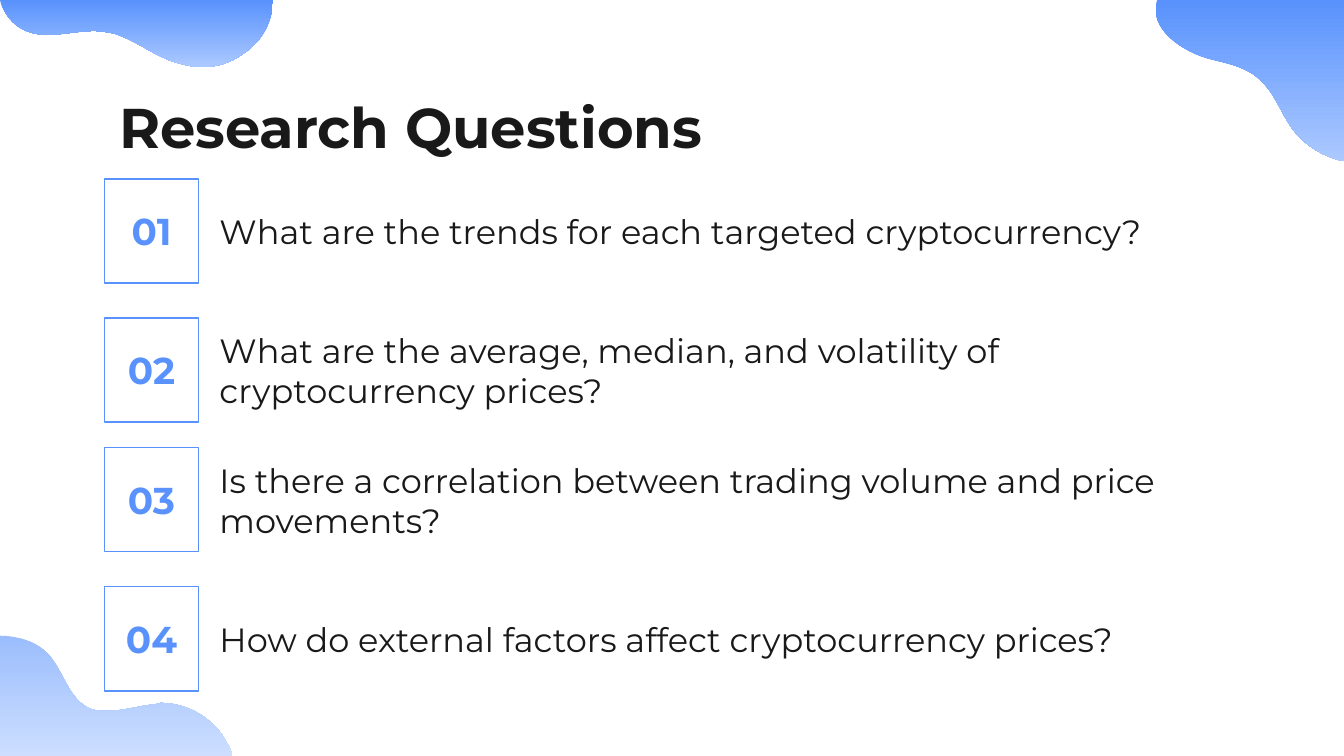
from dataclasses import dataclass

from lxml import etree
from pptx import Presentation
from pptx.dml.color import RGBColor
from pptx.enum.shapes import MSO_SHAPE
from pptx.enum.text import MSO_ANCHOR, PP_ALIGN
from pptx.oxml.ns import qn
from pptx.util import Pt

RECTANGLE = MSO_SHAPE.RECTANGLE
TOP, MIDDLE = MSO_ANCHOR.TOP, MSO_ANCHOR.MIDDLE
LEFT, CENTER = PP_ALIGN.LEFT, PP_ALIGN.CENTER


@dataclass(frozen=True)
class Theme:
    font: str = "Montserrat"
    ink: str = "191919"
    accent: str = "5992FD"
    accent_light: str = "ACC9FF"
    title_size: float = 30
    number_size: float = 20
    question_size: float = 18
    inset: float = 7.2
    outline: float = 0.75


@dataclass(frozen=True)
class Blob:
    """Box (left, top, width, height) and outline on the page.

    A segment is a point (line) or two controls and an end point (curve).
    """
    box: tuple
    start: tuple
    segments: list
    opacity: int = 100


@dataclass(frozen=True)
class Question:
    number: str
    text: str
    top: float


THEME = Theme()

BLOBS = [
    # Top left
    Blob((0, 0, 146.2, 36), (0, 0), [
        (2.9, 10.1, 10.8, 18.7, 25.2, 18.7),
        (33.8, 18.7, 42.5, 16.6, 50.4, 16.6),
        (54, 16.6, 57.6, 17.3, 61.2, 18),
        (72.7, 21.6, 82.1, 29.5, 92.9, 33.1),
        (97.9, 34.6, 103, 36, 108, 36),
        (115.9, 36, 123.8, 33.8, 130.3, 28.8),
        (140.4, 22.3, 146.2, 11.5, 146.2, 0),
    ]),
    # Bottom left
    Blob((0, 340.6, 124.6, 64.4), (0, 340.6), [
        (0, 405),
        (124.6, 405),
        (123.8, 402.5, 123.1, 400.3, 121.7, 398.2),
        (115.2, 385.2, 100.8, 376.6, 86.4, 376.6),
        (85.7, 376.6, 84.2, 376.6, 83.5, 377.3),
        (74.9, 378, 66.2, 380.9, 57.6, 380.9),
        (54, 380.9, 51.1, 380.9, 47.5, 379.4),
        (35.3, 373, 33.8, 357.1, 23.8, 348.5),
        (18, 343.4, 8.6, 340.6, 0, 340.6),
    ], opacity=60),
    # Top right
    Blob((618.9, 0, 101.1, 86.4), (720, 0), [
        (720, 86.4),
        (709.2, 84.2, 698.4, 77.8, 691.9, 68.4),
        (685.4, 59, 682.6, 49, 673.9, 41.8),
        (667.4, 36, 657.4, 33.8, 648.7, 31.7),
        (634.3, 28.1, 614.9, 15.8, 619.9, 0),
    ]),
]

QUESTIONS = [
    Question("01", "What are the trends for each targeted cryptocurrency?", 95.8),
    Question("02", "What are the average, median, and volatility of cryptocurrency prices?", 170.3),
    Question("03", "Is there a correlation between trading volume and price movements?", 239.8),
    Question("04", "How do external factors affect cryptocurrency prices?", 314.3),
]


def trace_outline(shape, blob: Blob) -> None:
    """Fit the shape to the blob's box and turn its segments into true curves."""
    left, top, width, height = (Pt(length) for length in blob.box)
    shape.left, shape.top, shape.width, shape.height = left, top, width, height
    outline = next(shape._element.iter(qn("a:path")))
    outline.set("w", str(width))
    outline.set("h", str(height))
    lines = list(outline.iter(qn("a:lnTo")))
    commands = [outline.find(qn("a:moveTo")), *lines]
    for command, segment in zip(commands, [blob.start, *blob.segments]):
        if len(segment) == 6:
            command_tag = etree.Element(qn("a:cubicBezTo"))
            outline.replace(command, command_tag)
            command = command_tag
        for point in list(command):
            command.remove(point)
        for x, y in zip(segment[::2], segment[1::2]):
            etree.SubElement(command, qn("a:pt"),
                             x=str(Pt(x) - left), y=str(Pt(y) - top))


def draw_blob(page, blob: Blob) -> None:
    builder = page.shapes.build_freeform(*(Pt(value) for value in blob.start))
    builder.add_line_segments(
        [(Pt(segment[-2]), Pt(segment[-1])) for segment in blob.segments], close=True)
    shape = builder.convert_to_shape()
    trace_outline(shape, blob)
    shape.shadow.inherit = False
    shape.line.fill.background()
    shape.fill.gradient()
    shape.fill.gradient_angle = 270
    for stop, color, position in zip(
            shape.fill.gradient_stops, (THEME.accent, THEME.accent_light), (0, 1)):
        stop.color.rgb = RGBColor.from_string(color)
        stop.position = position
    if blob.opacity < 100:
        for color in shape._element.iter(qn("a:srgbClr")):
            etree.SubElement(color, qn("a:alpha"), val=str(blob.opacity * 1000))


def write(box, text: str, size: float, color: str, bold: bool = False,
          align=LEFT, anchor=MIDDLE) -> None:
    frame = box.text_frame
    frame.word_wrap = True
    frame.vertical_anchor = anchor
    frame.margin_left = frame.margin_right = Pt(THEME.inset)
    frame.margin_top = frame.margin_bottom = Pt(THEME.inset)
    frame.text = text
    para = frame.paragraphs[0]
    para.alignment = align
    font = para.runs[0].font
    font.name, font.size, font.bold = THEME.font, Pt(size), bold
    font.color.rgb = RGBColor.from_string(color)


def draw_question(page, question: Question) -> None:
    top, height = Pt(question.top), Pt(55.8)
    box = page.shapes.add_textbox(Pt(110.5), top, Pt(558), height)
    write(box, question.text, THEME.question_size, THEME.ink)

    tile = page.shapes.add_shape(RECTANGLE, Pt(56), top, Pt(50.4), height)
    tile.shadow.inherit = False
    tile.fill.background()
    tile.line.color.rgb = RGBColor.from_string(THEME.accent)
    tile.line.width = Pt(THEME.outline)
    write(tile, question.number, THEME.number_size, THEME.accent, True, CENTER)


def main() -> None:
    deck = Presentation()
    deck.slide_width, deck.slide_height = Pt(720), Pt(405)
    page = deck.slides.add_slide(deck.slide_layouts[6])

    # Corner decoration
    for blob in BLOBS:
        draw_blob(page, blob)

    # Title
    title = page.shapes.add_textbox(Pt(56.7), Pt(42.5), Pt(607), Pt(45.4))
    write(title, "Research Questions", THEME.title_size, THEME.ink, True, anchor=TOP)

    # Numbered questions
    for question in QUESTIONS:
        draw_question(page, question)

    deck.save("out.pptx")


if __name__ == "__main__":
    main()
